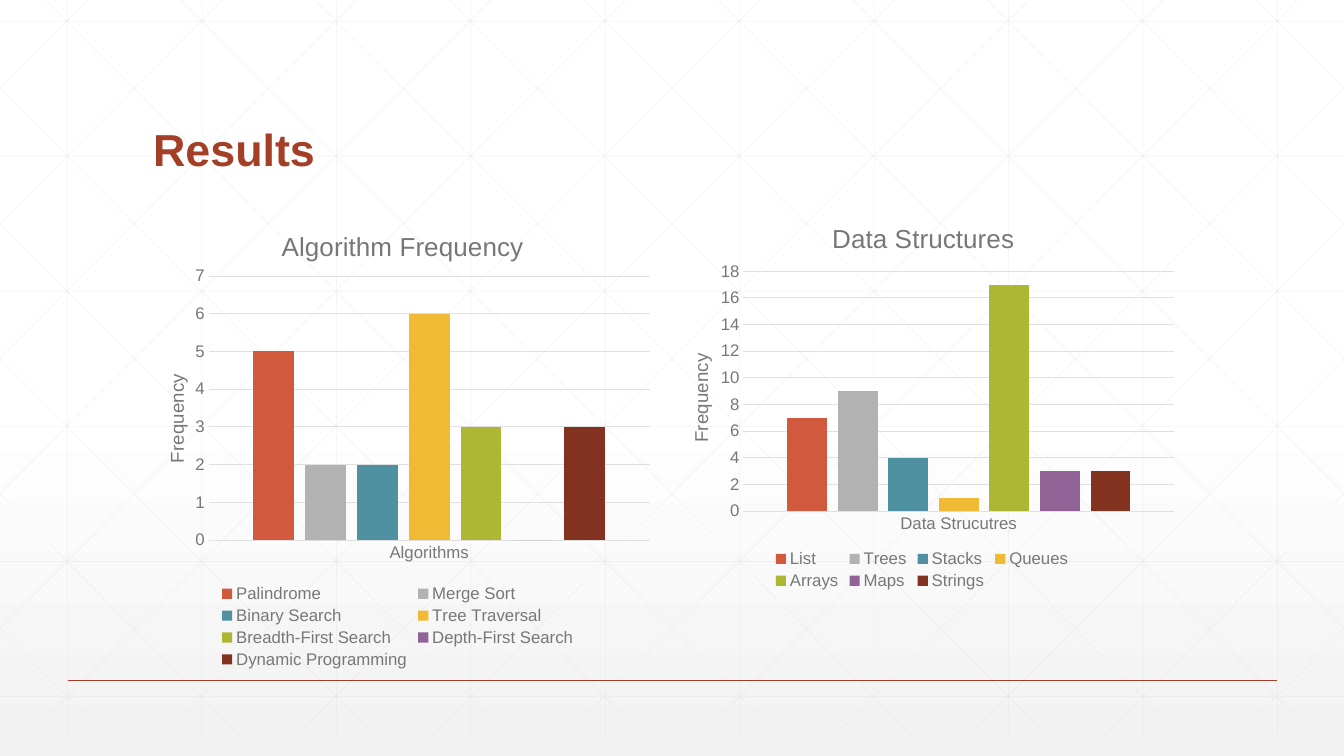
from copy import deepcopy
from dataclasses import dataclass

from lxml.etree import SubElement
from pptx import Presentation
from pptx.chart.data import CategoryChartData
from pptx.dml.color import RGBColor as RGB
from pptx.enum.chart import XL_CHART_TYPE as ChartType
from pptx.enum.chart import XL_LEGEND_POSITION as LegendPosition
from pptx.enum.chart import XL_TICK_MARK as TickMark
from pptx.enum.shapes import MSO_CONNECTOR as Connector
from pptx.enum.text import MSO_ANCHOR as Anchor
from pptx.oxml import parse_xml
from pptx.oxml.ns import nsdecls, qn
from pptx.util import Inches, Pt

WIDTH, HEIGHT = 13.33, 7.5


@dataclass(frozen=True)
class Theme:
    """Colours and type sizes of the slide."""
    font: str = "Arial"
    accent: str = "A43F27"
    lattice: str = "D9D9D9"
    label: str = "767876"
    rule: str = "DFE0DF"
    backdrop: tuple = ("FFFFFF", "F2F2F2")
    bars: tuple = ("D15A3E", "B2B2B2", "4F91A1", "F0BA34",
                   "AEB733", "926397", "83321F")
    heading_size: float = 32
    chart_title_size: float = 18.6
    axis_title_size: float = 13.3
    label_size: float = 12


THEME = Theme()


def style_font(font, size, color=THEME.label, bold=False):
    """Apply the slide's typeface with a size, colour and weight."""
    font.name, font.size, font.bold = THEME.font, Pt(size), bold
    font.color.rgb = RGB.from_string(color)


def style_line(line, color, width):
    """Give a line its colour and width in points."""
    line.color.rgb = RGB.from_string(color)
    line.width = Pt(width)


def paint_background(slide):
    """Fill the backdrop with white fading to grey at the bottom."""
    fill = slide.background.fill
    fill.gradient()
    fill.gradient_angle = 270
    for stop, color, position in zip(fill.gradient_stops, THEME.backdrop, (0, 1)):
        stop.color.rgb = RGB.from_string(color)
        stop.position = position
    first = slide.element.xpath(".//a:gs")[0]
    middle = deepcopy(first)
    middle.set("pos", "53000")
    first.addnext(middle)


def add_rule(slide, start, end, color, width, opacity=100):
    """Draw a straight line between two points given in inches."""
    rule = slide.shapes.add_connector(
        Connector.STRAIGHT, *(Inches(value) for value in (*start, *end)))
    style_line(rule.line, color, width)
    properties = rule._element.spPr
    if opacity < 100:
        tint = properties.find(".//" + qn("a:srgbClr"))
        SubElement(tint, qn("a:alpha")).set("val", str(opacity * 1000))
    SubElement(properties, qn("a:effectLst"))


def add_lattice(slide):
    """Draw the faint grid with its two mirrored sets of diagonals."""
    top, bottom, step, run = -0.21, 7.29, 4 / 3, 7.46
    slope = (bottom - top) / run
    lines = [((x, top), (x, bottom))
             for x in (0.67 + step * i for i in range(10))]
    lines += [((0, y), (WIDTH, y)) for y in (0.21 + 1.34 * i for i in range(6))]
    for i in range(-5, 10):
        origin = 0.25 + step * i
        left, right = max(origin, 0), min(origin + run, WIDTH)
        start_y, end_y = (top + (x - origin) * slope for x in (left, right))
        lines += [((left, start_y), (right, end_y)),
                  ((WIDTH - left, start_y), (WIDTH - right, end_y))]
    for start, end in lines:
        add_rule(slide, start, end, THEME.lattice, 0.5, opacity=25)


def add_heading(slide, text):
    """Place the slide heading, anchored at the bottom of its box."""
    heading = slide.shapes.add_textbox(
        Inches(1.42), Inches(0.55), Inches(10.5), Inches(1.25))
    frame = heading.text_frame
    frame.word_wrap = True
    frame.vertical_anchor = Anchor.BOTTOM
    frame.text = text
    frame.paragraphs[0].line_spacing = 0.9
    style_font(frame.paragraphs[0].runs[0].font,
               THEME.heading_size, THEME.accent, bold=True)


def set_layout(element, x, y, size=None):
    """Fix a chart part at fractions of the chart's width and height."""
    entries = [("xMode", "edge"), ("yMode", "edge"), ("x", x), ("y", y)]
    if size:
        entries.insert(0, ("layoutTarget", "inner"))
        entries += zip("wh", size)
    inner = "".join(f'<c:{tag} val="{value}"/>' for tag, value in entries)
    layout = parse_xml(f'<c:layout {nsdecls("c")}><c:manualLayout>{inner}'
                       '</c:manualLayout></c:layout>')
    for previous in element.findall(qn("c:layout")):
        element.remove(previous)
    text = element.find(qn("c:tx"))
    if text is None:
        element.insert(0, layout)
    else:
        text.addnext(layout)


def add_title(owner, element, text, size, position):
    """Write a chart or axis title at a fixed position."""
    frame = owner.text_frame
    frame.text = text
    style_font(frame.paragraphs[0].runs[0].font, size)
    set_layout(element, *position)


def style_axes(chart, top, step, title_position):
    """Format both axes, the gridlines and the frequency scale."""
    for axis in (chart.category_axis, chart.value_axis):
        axis.major_tick_mark = axis.minor_tick_mark = TickMark.NONE
        style_font(axis.tick_labels.font, THEME.label_size)
    style_line(chart.category_axis.format.line, THEME.rule, 0.75)
    frequency = chart.value_axis
    frequency.format.line.fill.background()
    frequency.minimum_scale, frequency.maximum_scale = 0, top
    frequency.major_unit = step
    style_line(frequency.major_gridlines.format.line, THEME.rule, 0.75)
    title = frequency.axis_title
    add_title(title, title._element, "Frequency",
              THEME.axis_title_size, title_position)
    title.text_frame._txBody.bodyPr.set("rot", "-5400000")


def add_frequency_chart(slide, title, category, counts, left, height, scale,
                        title_at, axis_title_at, plot_at, plot_size):
    """Add a column chart with one coloured series per counted topic."""
    data = CategoryChartData(number_format="General")
    data.categories = [category]
    for topic, count in counts.items():
        data.add_series(topic, [count])
    chart = slide.shapes.add_chart(
        ChartType.COLUMN_CLUSTERED, Inches(left), Inches(1.99),
        Inches(5.21), Inches(height), data).chart
    style_font(chart.font, THEME.label_size)
    chart.has_title = True
    add_title(chart.chart_title, chart.chart_title._element, title,
              THEME.chart_title_size, title_at)
    style_axes(chart, *scale, axis_title_at)
    plot = chart.plots[0]
    plot.gap_width, plot.overlap, plot.vary_by_categories = 219, -27, False
    for series, color in zip(plot.series, THEME.bars):
        series.format.fill.solid()
        series.format.fill.fore_color.rgb = RGB.from_string(color)
    chart.has_legend = True
    chart.legend.position = LegendPosition.BOTTOM
    chart.legend.include_in_layout = False
    style_font(chart.legend.font, THEME.label_size)
    set_layout(chart.element.xpath(".//c:plotArea")[0], *plot_at, plot_size)


def main():
    """Build the results slide and save it."""
    deck = Presentation()
    deck.slide_width, deck.slide_height = Inches(WIDTH), Inches(HEIGHT)
    slide = deck.slides.add_slide(deck.slide_layouts[6])
    paint_background(slide)
    add_lattice(slide)
    add_rule(slide, (0.67, 6.75), (12.67, 6.75), THEME.accent, 1)
    add_heading(slide, "Results")
    algorithms = {"Palindrome": 5, "Merge Sort": 2, "Binary Search": 2,
                  "Tree Traversal": 6, "Breadth-First Search": 3,
                  "Depth-First Search": 0, "Dynamic Programming": 3}
    structures = {"List": 7, "Trees": 9, "Stacks": 4, "Queues": 1,
                  "Arrays": 17, "Maps": 3, "Strings": 3}
    add_frequency_chart(
        slide, "Algorithm Frequency", "Algorithms", algorithms,
        left=1.34, height=4.68, scale=(7, 1), title_at=(0.27, 0.05),
        axis_title_at=(0.05, 0.36), plot_at=(0.14, 0.16), plot_size=(0.84, 0.56))
    add_frequency_chart(
        slide, "Data Structures", "Data Strucutres", structures,
        left=6.54, height=3.9, scale=(18, 2), title_at=(0.32, 0.04),
        axis_title_at=(0.05, 0.38), plot_at=(0.16, 0.18), plot_size=(0.82, 0.61))
    deck.save("out.pptx")


if __name__ == "__main__":
    main()
